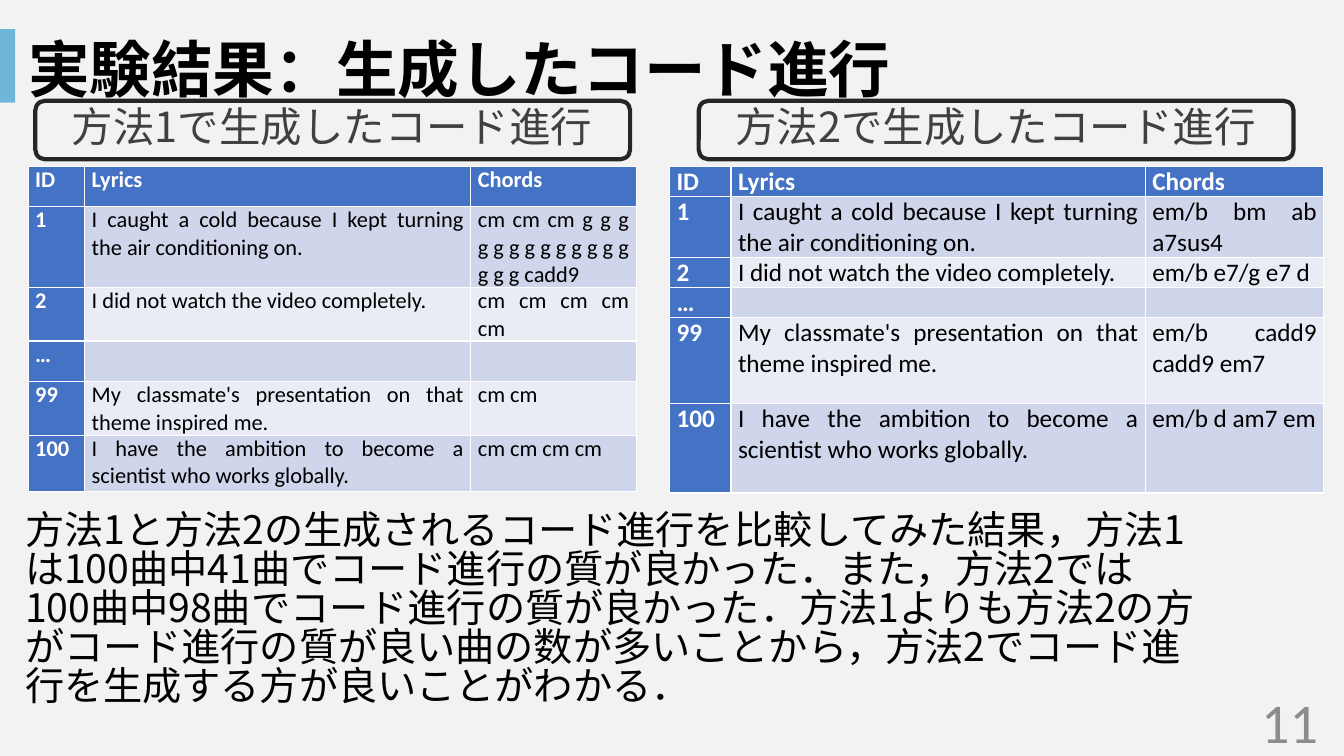
from dataclasses import dataclass

from pptx import Presentation
from pptx import util as u
from pptx.dml.color import RGBColor
from pptx.enum import shapes, text
from pptx.oxml.ns import qn

INCH = u.Inches


@dataclass(frozen=True)
class Theme:
    """Colours, fonts and type sizes of the slide."""
    paper: str = "F2F2F2"
    accent: str = "6EB7DB"
    ink: str = "000000"
    label_ink: str = "404040"
    frame: str = "262626"
    number_ink: str = "8C8C8C"
    white: str = "FFFFFF"
    head: str = "4472C4"
    bands: tuple = ("E9EBF5", "CFD5EA")
    latin: str = "Calibri"
    japanese: str = "Noto Sans CJK JP"
    title: float = 44
    number: float = 40
    label: float = 29.6
    body: float = 28


class ResultSlide:
    """Holds the theme and the current slide, and draws its elements."""

    def __init__(self, deck, theme):
        """Add a blank slide with the theme's background."""
        self.theme = theme
        self.slide = deck.slides.add_slide(deck.slide_layouts[6])
        self.paint(self.slide.background.fill, theme.paper)

    def paint(self, fill, colour):
        """Give a fill one solid colour."""
        fill.solid()
        fill.fore_color.rgb = RGBColor.from_string(colour)

    def add_words(self, paragraph, words, size, colour, font, bold=False, **layout):
        """Put one formatted run into a paragraph."""
        for name, value in layout.items():
            setattr(paragraph, name, value)
        run = paragraph.add_run()
        run.text = words
        for name, value in {"size": u.Pt(size), "name": font, "bold": bold}.items():
            setattr(run.font, name, value)
        run.font.color.rgb = RGBColor.from_string(colour)
        properties = run._r.get_or_add_rPr()
        east_asian = properties.makeelement(qn("a:ea"), {"typeface": font})
        properties.find(qn("a:latin")).addnext(east_asian)

    def text(self, box, words, size, colour, font, frame=None, **style):
        """Add a wrapped text box."""
        words_frame = self.slide.shapes.add_textbox(*map(INCH, box)).text_frame
        for name, value in {"word_wrap": True, **(frame or {})}.items():
            setattr(words_frame, name, value)
        self.add_words(words_frame.paragraphs[0], words, size, colour, font, **style)

    def shape(self, kind, box, fill=None, line=None):
        """Add a preset shape with a fill or an outline."""
        figure = self.slide.shapes.add_shape(kind, *map(INCH, box))
        figure.shadow.inherit = False
        if fill:
            self.paint(figure.fill, fill)
        else:
            figure.fill.background()
        if line:
            self.paint(figure.line.fill, line)
            figure.line.width = u.Pt(3)
        else:
            figure.line.fill.background()

    def label(self, left, words):
        """Add a framed heading above a table."""
        self.text((left + 0.25, 1.04, 5.39, 0.8), words, self.theme.label,
                  self.theme.label_ink, self.theme.japanese,
                  frame={"margin_left": 0, "margin_right": 0},
                  alignment=text.PP_ALIGN.CENTER, line_spacing=0.83,
                  space_before=u.Pt(12), space_after=u.Pt(2))
        self.shape(shapes.MSO_SHAPE.FLOWCHART_ALTERNATE_PROCESS,
                   (left, 1, 5.9, 0.58), line=self.theme.frame)

    def table(self, left, widths, heights, rows, size):
        """Add a table with a dark header row and first column."""
        theme = self.theme
        grid = self.slide.shapes.add_table(
            len(rows), len(widths), INCH(left), INCH(1.65),
            INCH(sum(widths)), INCH(sum(heights))).table
        grid.first_col = True
        for column, width in zip(grid.columns, widths):
            column.width = INCH(width)
        for r, (row, height) in enumerate(zip(rows, heights)):
            grid.rows[r].height = INCH(height)
            for c, words in enumerate(row):
                cell = grid.cell(r, c)
                heading = r == 0 or c == 0
                margins = {"margin_left": INCH(0.07), "margin_right": INCH(0.07),
                           "margin_top": 0, "margin_bottom": 0}
                for name, value in margins.items():
                    setattr(cell, name, value)
                self.paint(cell.fill, theme.head if heading else theme.bands[r % 2])
                self.add_words(cell.text_frame.paragraphs[0], words, size,
                               theme.white if heading else theme.ink, theme.latin,
                               bold=heading, alignment=text.PP_ALIGN.JUSTIFY)


IDS = ["1", "2", "…", "99", "100"]
LYRICS = [
    "I caught a cold because I kept turning the air conditioning on.",
    "I did not watch the video completely.",
    "",
    "My classmate's presentation on that theme inspired me.",
    "I have the ambition to become a scientist who works globally.",
]
METHODS = [
    dict(label_left=0.35, label="方法1で生成したコード進行", left=0.28, size=16,
         widths=[0.56, 3.83, 1.64], heights=[0.4, 0.79, 0.52, 0.4, 0.52, 0.56],
         chords=["cm cm cm g g g g g g g g g g g g g g g g cadd9",
                 "cm cm cm cm cm", "", "cm cm", "cm cm cm cm"]),
    dict(label_left=6.93, label="方法2で生成したコード進行", left=6.64, size=18,
         widths=[0.61, 4.11, 1.77], heights=[0.3, 0.59, 0.3, 0.3, 0.85, 0.89],
         chords=["em/b bm ab a7sus4", "em/b e7/g e7 d", "",
                 "em/b cadd9 cadd9 em7", "em/b d am7 em"]),
]
FINDING = (
    "方法1と方法2の生成されるコード進行を比較してみた結果，"
    "方法1は100曲中41曲でコード進行の質が良かった．"
    "また，方法2では100曲中98曲でコード進行の質が良かった．"
    "方法1よりも方法2の方がコード進行の質が良い曲の数が多いことから，"
    "方法2でコード進行を生成する方が良いことがわかる．"
)


def main():
    """Build the slide and save it."""
    deck = Presentation()
    deck.slide_width, deck.slide_height = INCH(13.33), INCH(7.5)
    theme = Theme()
    page = ResultSlide(deck, theme)
    middle = {"vertical_anchor": text.MSO_ANCHOR.MIDDLE}
    page.text((0.18, 0.3, 10.91, 0.84), "実験結果：生成したコード進行", theme.title,
              theme.ink, theme.japanese, frame=middle, bold=True, line_spacing=0.9)
    page.text((10.17, 6.95, 3, 0.4), "11", theme.number, theme.number_ink,
              theme.latin, frame=middle, alignment=text.PP_ALIGN.RIGHT)
    page.shape(shapes.MSO_SHAPE.RECTANGLE, (0, 0.29, 0.15, 0.73), fill=theme.accent)
    for method in METHODS:
        page.label(method["label_left"], method["label"])
        rows = [("ID", "Lyrics", "Chords"), *zip(IDS, LYRICS, method["chords"])]
        page.table(method["left"], method["widths"], method["heights"], rows,
                   method["size"])
    page.text((0.15, 5.04, 11.83, 2.46), FINDING, theme.body, theme.ink,
              theme.japanese, line_spacing=0.83)
    deck.save("out.pptx")


if __name__ == "__main__":
    main()
